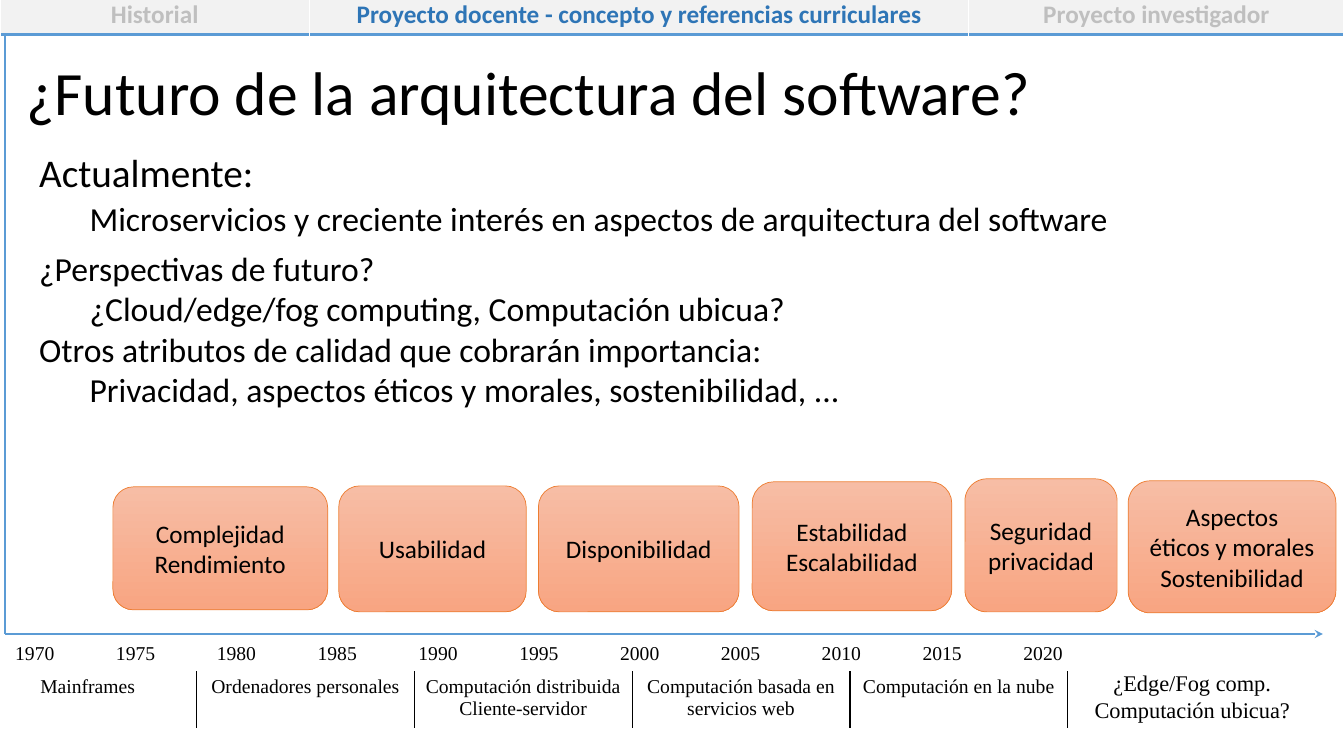
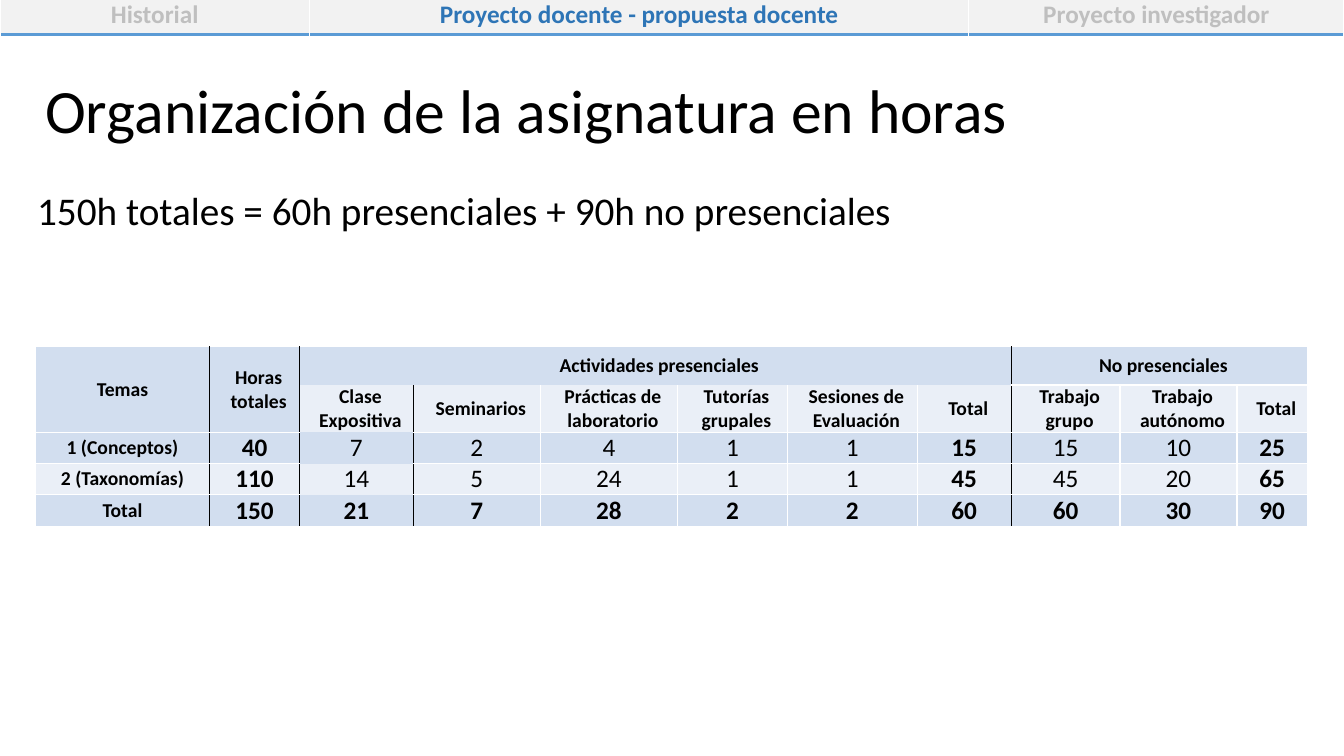
from lxml import etree
from pptx import Presentation
from pptx.dml.color import RGBColor
from pptx.enum.shapes import MSO_CONNECTOR, MSO_SHAPE
from pptx.enum.text import MSO_ANCHOR, PP_ALIGN
from pptx.oxml.ns import qn
from pptx.util import Pt

PX = 9144  # 100 px to the inch

# Shared style
SANS, SERIF = "Calibri", "Times New Roman"
BLACK, WHITE = "000000", "FFFFFF"
BLUE, ACTIVE, INACTIVE, BAND = "5B9BD5", "2E75B6", "BFBFBF", "F2F2F2"
ORANGE, PEACH, SALMON = "ED7D31", "F7BDA5", "F8A582"
ROW_DARK, ROW_LIGHT = "D2DEEF", "EAEFF7"
NO_STYLE = "{2D5ABB26-0587-4C30-8999-92F81FD0307C}"


def px(n):
    return n * PX


def rgb(color):
    return RGBColor.from_string(color)


def format_paragraph(p, size, color=BLACK, font=SANS, bold=False, align=None,
                     indent=0, spacing=None, before=None):
    if indent:
        p._p.get_or_add_pPr().set("marL", str(px(indent)))
    p.alignment = align
    p.line_spacing = spacing
    if before is not None:
        p.space_before = Pt(before)
    for r in p.runs:
        r.font.size, r.font.name, r.font.bold = Pt(size), font, bold
        r.font.color.rgb = rgb(color)


def set_text(tf, text, size, **style):
    tf.text = text
    for p in tf.paragraphs:
        format_paragraph(p, size, **style)


def add_text(slide, box, anchor=MSO_ANCHOR.TOP):
    tf = slide.shapes.add_textbox(*map(px, box)).text_frame
    tf.word_wrap = True
    tf.vertical_anchor = anchor
    return tf


def add_title(slide, box, text):
    set_text(add_text(slide, box, MSO_ANCHOR.MIDDLE), text, 44, spacing=0.9)


def add_line(slide, x1, y1, x2, y2, arrow=False):
    line = slide.shapes.add_connector(MSO_CONNECTOR.STRAIGHT, *map(px, (x1, y1, x2, y2)))
    line.line.color.rgb = rgb(BLUE)
    line.line.width = Pt(1.5)
    if arrow:
        etree.SubElement(line.line._get_or_add_ln(), qn("a:tailEnd"), type="stealth")
    etree.SubElement(line._element.spPr, qn("a:effectLst"))


def add_quality_box(slide, box, text):
    sp = slide.shapes.add_shape(MSO_SHAPE.ROUNDED_RECTANGLE, *map(px, box))
    sp.shadow.inherit = False
    sp.fill.gradient()
    sp.fill.gradient_angle = 270
    for stop, color in zip(sp.fill.gradient_stops, (PEACH, SALMON)):
        stop.color.rgb = rgb(color)
    sp.line.color.rgb = rgb(ORANGE)
    sp.line.width = Pt(0.5)
    sp.text_frame.vertical_anchor = MSO_ANCHOR.MIDDLE
    set_text(sp.text_frame, text, 18, align=PP_ALIGN.CENTER)


def add_table(slide, left, top, widths, heights):
    frame = slide.shapes.add_table(len(heights), len(widths), px(left), px(top),
                                   px(sum(widths)), px(sum(heights)))
    table = frame.table
    table.first_row = table.horz_banding = False
    table._tbl.tblPr.find(qn("a:tableStyleId")).text = NO_STYLE
    for col, width in zip(table.columns, widths):
        col.width = px(width)
    for row, height in zip(table.rows, heights):
        row.height = px(height)
    return table


def set_borders(cell, **sides):
    """Draw the sides given as L, R, T or B = (colour, points)."""
    tcPr = cell._tc.get_or_add_tcPr()
    for side in "LRTB":
        if side in sides:
            color, width = sides[side]
            ln = etree.SubElement(tcPr, qn(f"a:ln{side}"), w=str(Pt(width)))
            fill = etree.SubElement(ln, qn("a:solidFill"))
            etree.SubElement(fill, qn("a:srgbClr"), val=color)


def set_fill(cell, color):
    cell.fill.solid()
    cell.fill.fore_color.rgb = rgb(color)


def add_band(slide, section):
    """Navigation band with the current section highlighted."""
    table = add_table(slide, 0, -6, (307, 654, 372), (40,))
    labels = ("Historial", f"Proyecto docente - {section}", "Proyecto investigador")
    for i, label in enumerate(labels):
        cell = table.cell(0, i)
        set_borders(cell, L=(WHITE, 1), R=(WHITE, 1), B=(BLUE, 2.25))
        set_fill(cell, BAND)
        set_text(cell.text_frame, label, 18, bold=True, align=PP_ALIGN.CENTER,
                 color=ACTIVE if i == 1 else INACTIVE)


def add_timeline(slide):
    # Axis
    add_line(slide, 5, 35, 5, 629)
    add_line(slide, 5, 629, 1312, 629, arrow=True)

    # Years
    years = range(1970, 2021, 5)
    table = add_table(slide, 5, 633, [100] * len(years), (41,))
    for i, year in enumerate(years):
        set_text(table.cell(0, i).text_frame, str(year), 14, font=SERIF)

    # Eras, split by vertical rules
    eras = ("Mainframes", "Ordenadores personales",
            "Computación distribuida\nCliente-servidor",
            "Computación basada en servicios web", "Computación en la nube", "")
    table = add_table(slide, -21, 666, [216] * len(eras), (41,))
    for i, era in enumerate(eras):
        cell = table.cell(0, i)
        sides = {"L": i > 0, "R": i < len(eras) - 1}
        set_borders(cell, **{s: (BLACK, 1) for s, shown in sides.items() if shown})
        if era:
            set_text(cell.text_frame, era, 14, font=SERIF, align=PP_ALIGN.CENTER)
    set_text(add_text(slide, (1063, 659, 239, 64)), "¿Edge/Fog comp.\nComputación ubicua?",
             16, font=SERIF, align=PP_ALIGN.CENTER)


def build_future(slide):
    add_band(slide, "concepto y referencias curriculares")
    add_title(slide, (16, 22, 1320, 145), "¿Futuro de la arquitectura del software?")

    # Present and outlook
    tf = add_text(slide, (29, 147, 1246, 58))
    tf.text = ("Actualmente:\n"
               "Microservicios y creciente interés en aspectos de arquitectura del software")
    format_paragraph(tf.paragraphs[0], 28, spacing=0.9)
    format_paragraph(tf.paragraphs[1], 24, spacing=0.9, before=5, indent=50)
    tf = add_text(slide, (29, 241, 1297, 172))
    tf.text = ("¿Perspectivas de futuro?\n"
               "¿Cloud/edge/fog computing, Computación ubicua?\n"
               "Otros atributos de calidad que cobrarán importancia:\n"
               "Privacidad, aspectos éticos y morales, sostenibilidad, ...")
    for i, p in enumerate(tf.paragraphs):
        format_paragraph(p, 24, indent=50 * (i % 2))

    # Quality attributes of each period
    for box, text in (
        ((112, 483, 213, 122), "Complejidad\nRendimiento"),
        ((336, 482, 186, 125), "Usabilidad"),
        ((534, 482, 199, 125), "Disponibilidad"),
        ((746, 478, 198, 128), "Estabilidad\nEscalabilidad"),
        ((957, 475, 151, 132), "Seguridad\nprivacidad"),
        ((1119, 477, 206, 131), "Aspectos\néticos y morales\nSostenibilidad"),
    ):
        add_quality_box(slide, box, text)
    add_timeline(slide)


def hour_borders(row, col):
    """White grid, black rules between groups, open inside the first activity."""
    black_edges = (1, 2, 8)
    sides = {"L": (BLACK if col in black_edges else WHITE, 1),
             "R": (BLACK if col + 1 in black_edges else WHITE, 1),
             "T": (WHITE, 1), "B": (WHITE, 1)}
    hidden = ""
    if col == 2:
        hidden = "RTB"
    elif row == 0 and 2 < col < 8:
        hidden = "TB"
    elif row == 1 and 2 < col < 8:
        hidden = "T"
    if row and col == 3:
        hidden += "L"
    return {s: line for s, line in sides.items() if s not in hidden}


def add_hours_table(slide):
    rows = (
        ("Temas", "Horas totales", "Actividades presenciales", "", "", "", "", "",
         "No presenciales", "", ""),
        ("", "", "Clase Expositiva", "Seminarios", "Prácticas de laboratorio",
         "Tutorías grupales", "Sesiones de Evaluación", "Total", "Trabajo grupo",
         "Trabajo autónomo", "Total"),
        ("1 (Conceptos)", 40, 7, 2, 4, 1, 1, 15, 15, 10, 25),
        ("2 (Taxonomías)", 110, 14, 5, 24, 1, 1, 45, 45, 20, 65),
        ("Total", 150, 21, 7, 28, 2, 2, 60, 60, 30, 90),
    )
    total_cols = (0, 1, 7, 10)
    table = add_table(slide, 35, 344, (173, 89, 113, 126, 136, 109, 129, 93, 108, 116, 70),
                      (38, 47, 31, 31, 31))
    for i, values in enumerate(rows):
        for j, value in enumerate(values):
            cell = table.cell(i, j)
            header = i < 2
            set_borders(cell, **hour_borders(i, j))
            set_fill(cell, ROW_LIGHT if i % 2 else ROW_DARK)
            cell.vertical_anchor = MSO_ANCHOR.MIDDLE
            cell.margin_left = px(15 if header and j else 7)
            cell.margin_right = px(7)
            cell.margin_top = cell.margin_bottom = 0
            if value != "":
                set_text(cell.text_frame, str(value), 14 if header or j == 0 else 18,
                         bold=header or i == len(rows) - 1 or j in total_cols,
                         align=PP_ALIGN.CENTER)

    # Grouped headings
    for first, last in (((0, 0), (1, 0)), ((0, 1), (1, 1)), ((0, 2), (0, 7)), ((0, 8), (0, 10))):
        table.cell(*first).merge(table.cell(*last))


def build_hours(slide):
    add_band(slide, "propuesta docente")
    add_title(slide, (35, 40, 1207, 145), "Organización de la asignatura en horas")
    set_text(add_text(slide, (27, 185, 1215, 124)),
             "150h totales = 60h presenciales + 90h no presenciales", 28, spacing=0.9)
    add_hours_table(slide)


def main():
    prs = Presentation()
    prs.slide_width, prs.slide_height = px(1333), px(750)
    for build in (build_future, build_hours):
        build(prs.slides.add_slide(prs.slide_layouts[6]))
    prs.save("out.pptx")


if __name__ == "__main__":
    main()
